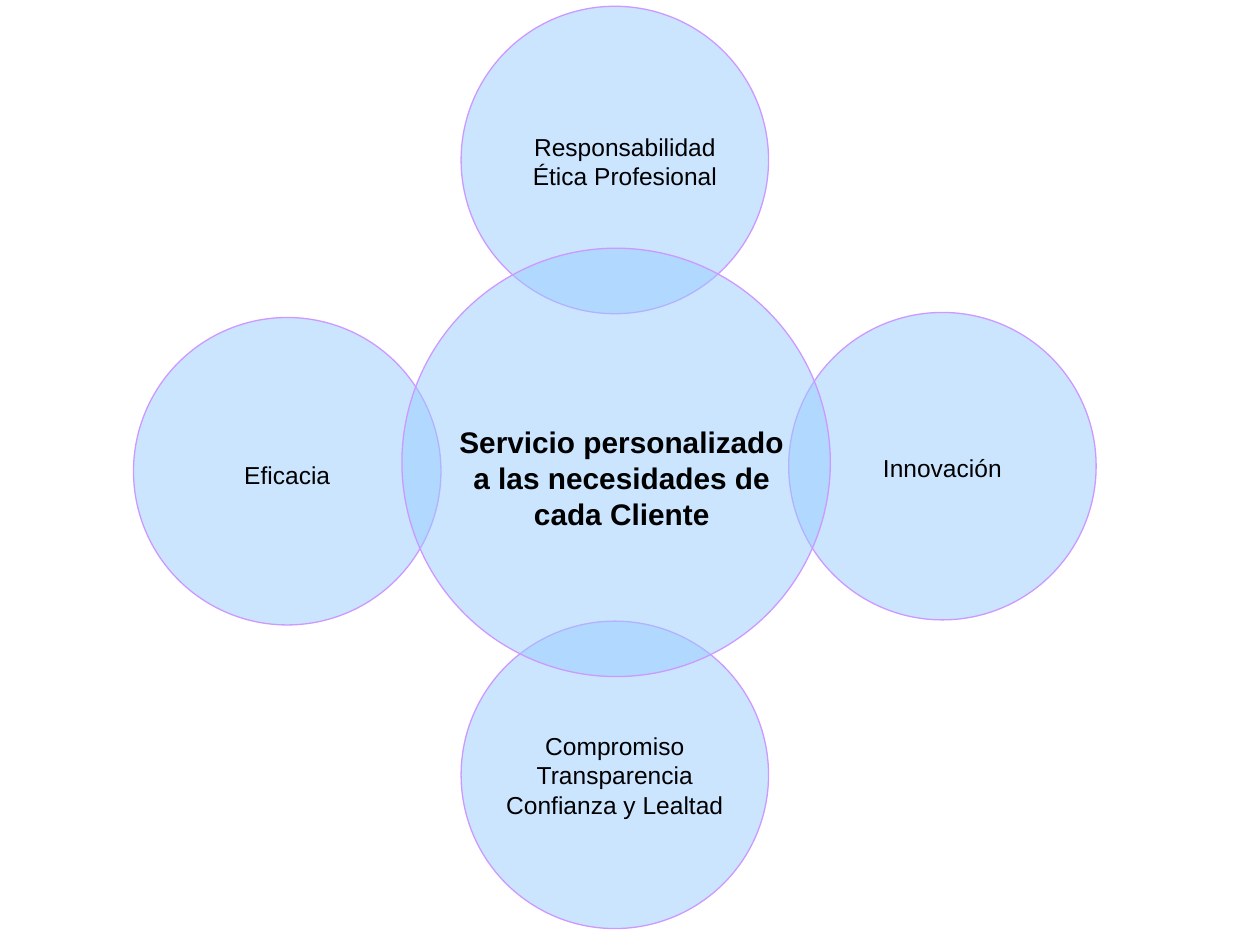
from lxml.etree import SubElement
from pptx import Presentation
from pptx.dml.color import RGBColor
from pptx.enum.shapes import MSO_SHAPE
from pptx.enum.text import MSO_ANCHOR, PP_ALIGN
from pptx.oxml.ns import qn
from pptx.util import Inches, Pt

COLUMNS, ROWS = 100, 75
SATELLITE = 24.4
CORE = 34


def color(value):
    return RGBColor.from_string(value)


class Diagram:
    """Draws translucent circles and centred labels on a grid of columns and rows."""

    font = "Arial"
    ink = "000000"
    fill = "99CCFF"
    outline = "CC99FF"
    opacity = 50

    def __init__(self, deck):
        self.column = deck.slide_width / COLUMNS
        self.row = deck.slide_height / ROWS
        self.page = deck.slides.add_slide(deck.slide_layouts[6])

    def frame(self, center, width, height):
        x, y = center
        return (
            round((x - width / 2) * self.column),
            round((y - height / 2) * self.row),
            round(width * self.column),
            round(height * self.row),
        )

    def circle(self, center, diameter):
        disc = self.page.shapes.add_shape(
            MSO_SHAPE.OVAL, *self.frame(center, diameter, diameter)
        )
        disc.shadow.inherit = False
        disc.fill.solid()
        disc.fill.fore_color.rgb = color(self.fill)
        tint = disc.fill._xPr.find(qn("a:solidFill"))[0]
        SubElement(tint, qn("a:alpha"), val=str(self.opacity * 1000))
        disc.line.color.rgb = color(self.outline)
        disc.line.width = Pt(0.75)

    def label(self, center, width, height, lines, size, bold=False):
        box = self.page.shapes.add_textbox(*self.frame(center, width, height))
        text = box.text_frame
        text.word_wrap = False
        text.vertical_anchor = MSO_ANCHOR.MIDDLE
        para = text.paragraphs[0]
        para.alignment = PP_ALIGN.CENTER
        for index, line in enumerate(lines):
            if index:
                para.add_line_break()
            span = para.add_run()
            span.text = line
            span.font.name = self.font
            span.font.size = Pt(size)
            span.font.bold = bold
            span.font.color.rgb = color(self.ink)


def main():
    deck = Presentation()
    deck.slide_width, deck.slide_height = Inches(10), Inches(7.5)
    diagram = Diagram(deck)

    values = [
        ((22.8, 37.4), (22.8, 37.7), ["Eficacia"]),
        ((74.8, 37), (74.8, 37.1), ["Innovación"]),
        ((48.8, 12.7), (49.6, 12.8), ["Responsabilidad", "Ética Profesional"]),
        ((48.8, 61.5), (48.8, 61.5),
         ["Compromiso", "Transparencia", "Confianza y Lealtad"]),
    ]
    for circle_center, label_center, lines in values:
        diagram.circle(circle_center, SATELLITE)
        diagram.label(label_center, SATELLITE, 7, lines, 14)

    diagram.circle((48.9, 36.7), CORE)
    service = ["Servicio personalizado", "a las necesidades de", "cada Cliente"]
    diagram.label((49.35, 37.9), 33.3, 9.6, service, 17, bold=True)

    deck.save("out.pptx")


if __name__ == "__main__":
    main()
